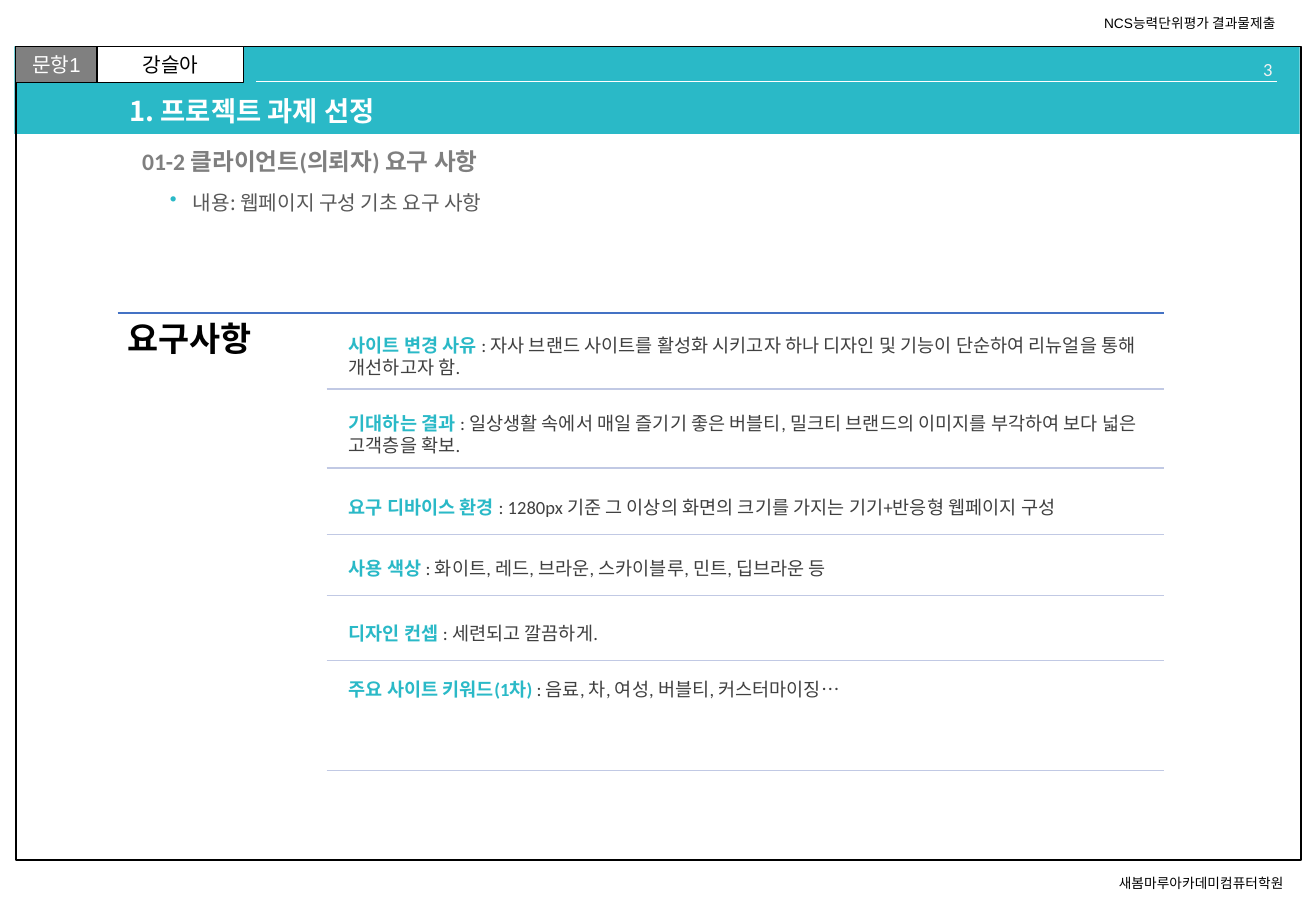
from lxml.etree import SubElement as Sub
from pptx import Presentation
from pptx.dml.color import RGBColor
from pptx.enum.shapes import MSO_CONNECTOR as Link, MSO_SHAPE as Form
from pptx.enum.text import MSO_ANCHOR as Anchor, PP_ALIGN as Align
from pptx.oxml.ns import qn
from pptx.util import Cm, Pt

TEAL = RGBColor(0x2A, 0xB9, 0xC7)
WHITE = RGBColor(0xFF, 0xFF, 0xFF)
PALE = RGBColor(0xF2, 0xF2, 0xF2)
BLACK = RGBColor(0x00, 0x00, 0x00)
GRAY = RGBColor(0x80, 0x80, 0x80)
MID = RGBColor(0x7F, 0x7F, 0x7F)
SLATE = RGBColor(0x59, 0x59, 0x59)
DARK = RGBColor(0x40, 0x40, 0x40)
BLUE = RGBColor(0x44, 0x72, 0xC4)
LILAC = RGBColor(0xC1, 0xC9, 0xE4)

NOTO = "Noto Sans CJK KR"
NOTE = {"size": Pt(8.1), "name": "Arial"}
TAB = {"size": Pt(12), "name": "Arial"}
PAGE = {"size": Pt(11), "name": "Calibri"}
TITLE = {"size": Pt(16.2), "name": NOTO, "bold": True}
SUBHEAD = {"size": Pt(14), "name": "Calibri", "bold": True}
BODY = {"size": Pt(12), "name": NOTO}
HEAD = {"size": Pt(20), "name": "Calibri", "bold": True}
LABEL = {"size": Pt(11), "name": "Calibri", "bold": True}
PLAIN = {"size": Pt(11), "name": "Calibri", "bold": False}

ROWS = [
    (6.76, 1.37, "사이트 변경 사유 ",
     ": 자사 브랜드 사이트를 활성화 시키고자 하나 디자인 및 기능이 단순하여 리뉴얼을 통해 개선하고자 함."),
    (8.36, 1.43, "기대하는 결과 ",
     ": 일상생활 속에서 매일 즐기기 좋은 버블티, 밀크티 브랜드의 이미지를 부각하여 보다 넓은 고객층을 확보."),
    (10.01, 1.17, "요구 디바이스 환경 ",
     ": 1280px 기준 그 이상의 화면의 크기를 가지는 기기+반응형 웹페이지 구성"),
    (11.33, 1.12, "사용 색상 ",
     ": 화이트, 레드, 브라운, 스카이블루, 민트, 딥브라운 등"),
    (12.67, 1.14, "디자인 컨셉 ", ": 세련되고 깔끔하게."),
    (14.05, 2.06, "주요 사이트 키워드(1차) ",
     ": 음료, 차, 여성, 버블티, 커스터마이징…"),
]


def assign(item, looks):
    """Set each attribute named in a dict of format values."""
    for key, value in looks.items():
        setattr(item, key, value)


def write(shape, runs, para=None, pad=(0.25, 0.13), anchor=Anchor.TOP):
    """Fill a shape with one paragraph of styled runs and return it."""
    side, edge = map(Cm, pad)
    frame = shape.text_frame
    assign(frame, {"word_wrap": True, "vertical_anchor": anchor,
                   "margin_left": side, "margin_right": side,
                   "margin_top": edge, "margin_bottom": edge})
    line = frame.paragraphs[0]
    assign(line, para or {})
    for text, looks, color in runs:
        run = line.add_run()
        run.text = text
        run.font.color.rgb = color
        assign(run.font, looks)
        Sub(run.font._element, qn("a:ea"), typeface=NOTO)
    return line


def box(slide, at, runs, **looks):
    """Add a text box."""
    return write(slide.shapes.add_textbox(*map(Cm, at)), runs, **looks)


def rect(slide, at, fill=None, width=None):
    """Add a rectangle with an optional fill and black outline."""
    shape = slide.shapes.add_shape(Form.RECTANGLE, *map(Cm, at))
    shape.shadow.inherit = False
    if fill is None:
        shape.fill.background()
    else:
        shape.fill.solid()
        shape.fill.fore_color.rgb = fill
    if width is None:
        shape.line.fill.background()
    else:
        shape.line.color.rgb = BLACK
        shape.line.width = Pt(width)
    return shape


def rule(slide, left, right, top, color, width=1):
    """Add a level line."""
    line = slide.shapes.add_connector(
        Link.STRAIGHT, Cm(left), Cm(top), Cm(right), Cm(top))
    line.line.color.rgb = color
    line.line.width = Pt(width)
    Sub(line._element.spPr, qn("a:effectLst"))


def bullet(line, color):
    """Give a paragraph a coloured, hanging bullet."""
    props = line._p.get_or_add_pPr()
    props.set("marL", str(Cm(0.48)))
    props.set("indent", str(Cm(-0.48)))
    Sub(Sub(props, qn("a:buClr")), qn("a:srgbClr"), val=str(color))
    Sub(props, qn("a:buChar"), char="•")


def banner(slide):
    """Draw the page frame, top band, tabs and notes."""
    rect(slide, (0.3, 0.97, 26.87, 1.83), TEAL)
    rect(slide, (0.33, 0.97, 26.87, 17.02), width=1)
    box(slide, (23.14, 18.16, 4.27, 0.61),
        [("새봄마루아카데미컴퓨터학원", NOTE, BLACK)])
    box(slide, (22.83, 0.18, 4.37, 0.61),
        [("NCS능력단위평가 결과물제출", NOTE, BLACK)])
    for left, wide, fill, text, color in (
            (0.33, 1.7, GRAY, "문항1", WHITE),
            (2.03, 3.07, WHITE, "강슬아", BLACK)):
        tab = rect(slide, (left, 0.97, wide, 0.76), fill, 0.75)
        write(tab, [(text, TAB, color)], {"alignment": Align.CENTER},
              anchor=Anchor.MIDDLE)
    box(slide, (23.85, 1.09, 3, 0.51), [("3", PAGE, PALE)],
        para={"alignment": Align.RIGHT})
    rule(slide, 5.36, 26.7, 1.7, WHITE, 0.5)


def heads(slide):
    """Write the title, subtitle and bullet line."""
    tight = {"line_spacing": 0.9}
    box(slide, (2.46, 1.93, 22.25, 0.86),
        [("1. 프로젝트 과제 선정", TITLE, WHITE)],
        para=tight, anchor=Anchor.MIDDLE)
    box(slide, (2.72, 2.97, 22, 0.86),
        [("01-2 클라이언트(의뢰자) 요구 사항", SUBHEAD, MID)],
        para=tight, anchor=Anchor.MIDDLE)
    line = box(slide, (3.3, 3.84, 21.41, 0.86),
               [("내용: 웹페이지 구성 기초 요구 사항", BODY, SLATE)])
    bullet(line, TEAL)


def needs(slide):
    """List the client's needs, each with a line below."""
    rule(slide, 2.46, 24.33, 6.55, BLUE)
    box(slide, (2.46, 6.55, 4.37, 9.78), [("요구사항", HEAD, BLACK)],
        para={"line_spacing": 0.9}, pad=(0.2, 0.2))
    for top, high, label, text in ROWS:
        last = label == ROWS[-1][2]
        box(slide, (7.16, top, 17.15, high),
            [(label, LABEL, TEAL), (text, PLAIN, DARK)], pad=(0.13, 0.13),
            anchor=Anchor.TOP if last else Anchor.MIDDLE)
        rule(slide, 6.83, 24.33, top + high, LILAC)


def main():
    """Build and save the slide."""
    deck = Presentation()
    assign(deck, {"slide_width": Cm(27.51), "slide_height": Cm(19.05)})
    slide = deck.slides.add_slide(deck.slide_layouts[6])
    banner(slide)
    heads(slide)
    needs(slide)
    deck.save("out.pptx")


if __name__ == "__main__":
    main()
